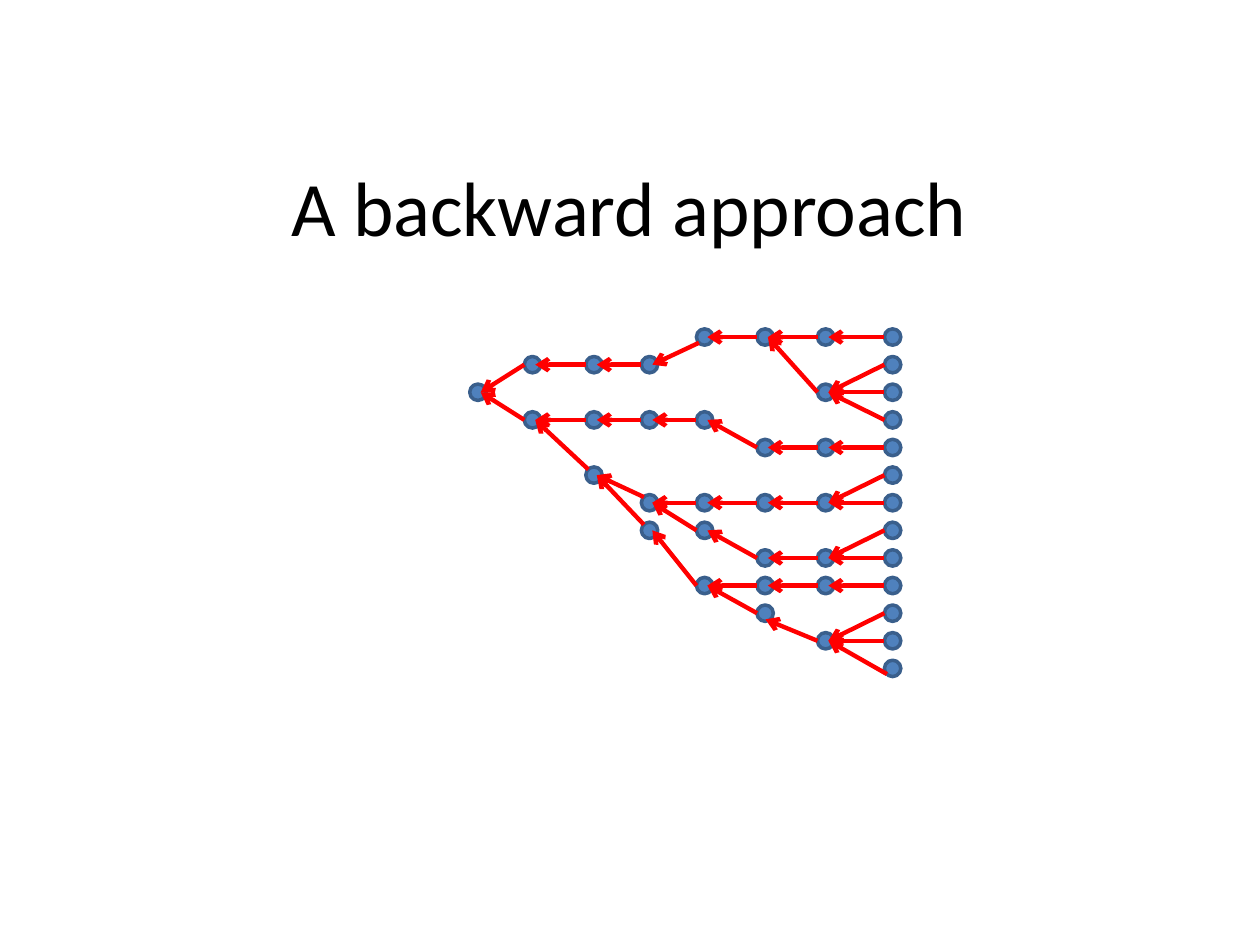
from lxml import etree
from pptx import Presentation
from pptx.dml.color import RGBColor
from pptx.enum.shapes import MSO_CONNECTOR, MSO_SHAPE
from pptx.enum.text import MSO_ANCHOR, PP_ALIGN
from pptx.oxml.ns import qn
from pptx.util import Cm, Pt

STRAIGHT = MSO_CONNECTOR.STRAIGHT
OVAL = MSO_SHAPE.OVAL
MIDDLE = MSO_ANCHOR.MIDDLE
CENTER = PP_ALIGN.CENTER

BLACK = RGBColor(0x00, 0x00, 0x00)
NODE_FILL = RGBColor(0x4F, 0x81, 0xBD)
NODE_LINE = RGBColor(0x3A, 0x5F, 0x8C)
RED = RGBColor(0xFF, 0x00, 0x00)

NODE = 0.33
LAST_ROW = 12
COLUMN_X = [0, 1.1, 2.34, 3.46, 4.57, 5.79, 7.01, 8.36]

# For each column: row of a node -> rows of its children in the next column
CHILDREN = [
    {2: [1, 3]},
    {1: [1], 3: [3, 5]},
    {1: [1], 3: [3], 5: [6, 7]},
    {1: [0], 3: [3], 6: [6, 7], 7: [9]},
    {0: [0], 3: [4], 6: [6], 7: [8], 9: [9, 10]},
    {0: [0, 2], 4: [4], 6: [6], 8: [8], 9: [9], 10: [11]},
    {0: [0], 2: [1, 2, 3], 4: [4], 6: [5, 6], 8: [7, 8], 9: [9],
     11: [10, 11, 12]},
]

# Offsets inside a node where arrows attach
HEAD = (0.22, NODE / 2)
LOWER_RIGHT = (0.17, 0.29)
LEFT = (0, NODE / 2)
UPPER_LEFT = (0.05, 0.05)
LOWER_LEFT = (0.05, 0.28)
HEAD_AT = {(5, 10): LOWER_RIGHT}
TAIL_AT = {(2, 5): UPPER_LEFT, (3, 6): UPPER_LEFT, (3, 7): UPPER_LEFT,
           (4, 0): LOWER_LEFT, (7, 12): LOWER_LEFT}


def add_title(slide, left, top, width, height):
    sp = slide.shapes.title
    sp.left, sp.top, sp.width, sp.height = map(Cm, (left, top, width, height))
    tf = sp.text_frame
    tf.vertical_anchor = MIDDLE
    p = tf.paragraphs[0]
    p.alignment = CENTER
    r = p.add_run()
    r.text = "A backward approach"
    r.font.name = "Calibri"
    r.font.size = Pt(44)
    r.font.color.rgb = BLACK


def add_node(slide, x, y):
    sp = slide.shapes.add_shape(OVAL, Cm(x), Cm(y), Cm(NODE), Cm(NODE))
    sp.shadow.inherit = False
    sp.fill.solid()
    sp.fill.fore_color.rgb = NODE_FILL
    sp.line.color.rgb = NODE_LINE
    sp.line.width = Pt(2)


def add_arrow(slide, head, tail):
    """Draw a line between two points, with the arrowhead at the first."""
    line = slide.shapes.add_connector(STRAIGHT, *map(Cm, (*head, *tail)))
    line.line.color.rgb = RED
    line.line.width = Pt(2.5)
    ln = line.line._get_or_add_ln()
    etree.SubElement(ln, qn("a:headEnd"), type="arrow")
    etree.SubElement(line._element.spPr, qn("a:effectLst"))


def add_tree(slide, left, top, height):
    pitch = (height - NODE) / LAST_ROW

    def point(node, offset=(0, 0)):
        column, row = node
        return (left + COLUMN_X[column] + offset[0],
                top + row * pitch + offset[1])

    for root in CHILDREN[0]:
        add_node(slide, *point((0, root)))
    for column, families in enumerate(CHILDREN):
        edges = [((column, row), (column + 1, child))
                 for row, children in families.items() for child in children]
        for _, child in edges:
            add_node(slide, *point(child))
        for parent, child in edges:
            add_arrow(slide, point(parent, HEAD_AT.get(parent, HEAD)),
                      point(child, TAIL_AT.get(child, LEFT)))


def main():
    prs = Presentation()
    prs.slide_width, prs.slide_height = Cm(25.4), Cm(19.05)
    slide = prs.slides.add_slide(prs.slide_layouts[5])
    add_title(slide, 4.11, 2.95, 17.15, 2.39)
    add_tree(slide, 9.47, 6.63, 7.01)
    prs.save("out.pptx")


if __name__ == "__main__":
    main()
